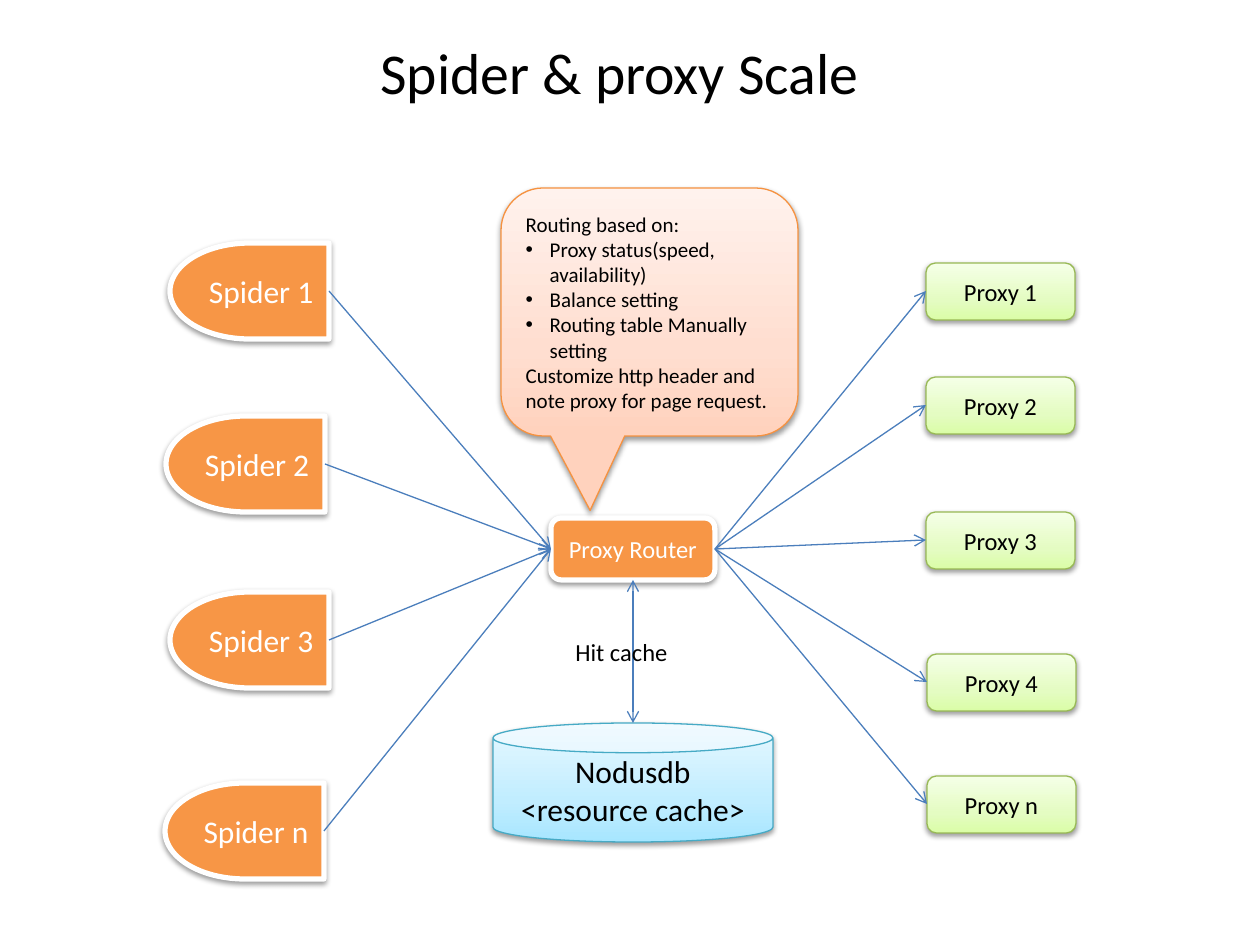
from dataclasses import dataclass

from lxml.etree import SubElement
from pptx import Presentation
from pptx.dml.color import RGBColor
from pptx.enum.shapes import MSO_CONNECTOR, MSO_SHAPE
from pptx.enum.text import MSO_ANCHOR, PP_ALIGN
from pptx.oxml.ns import qn
from pptx.util import Emu, Pt

EMU_PER_PIXEL = 914400 / 126
FONT = "Calibri"
BULLET = "\u2022"
BULLET_INDENT = 24
COLORS = {
    "black": "000000", "white": "FFFFFF", "orange": "F79646", "arrow": "4B7EBC",
    "proxy_line": "98B955", "note_line": "F69240", "store_line": "46AAC5",
}
GRADIENTS = {
    "green": ((0, "DAFDA7"), (35, "E4FCC2"), (100, "F5FFE7")),
    "peach": ((0, "FFD2BD"), (35, "FFDED0"), (100, "FFF2ED")),
    "blue": ((0, "A7E6FF"), (35, "C1EDFF"), (100, "E7F8FF")),
}


@dataclass(frozen=True)
class Style:
    """Look shared by all nodes of one kind."""
    geometry: MSO_SHAPE
    fill: str
    line: str
    line_width: float
    text_color: str
    size: int


@dataclass(frozen=True)
class Node:
    """A labelled diagram node, placed in pixels."""
    label: str
    left: int
    top: int
    width: int
    height: int

    @property
    def left_side(self) -> tuple[int, int]:
        """Middle of the left edge."""
        return self.left, self.top + self.height // 2

    @property
    def right_side(self) -> tuple[int, int]:
        """Middle of the right edge."""
        return self.left + self.width, self.top + self.height // 2


SPIDER = Style(MSO_SHAPE.FLOWCHART_DELAY, "orange", "white", 3, "white", 18)
ROUTER = Style(MSO_SHAPE.ROUNDED_RECTANGLE, "orange", "white", 3, "white", 14)
PROXY = Style(MSO_SHAPE.ROUNDED_RECTANGLE, "green", "proxy_line", 0.75, "black", 14)
NOTE = Style(MSO_SHAPE.ROUNDED_RECTANGULAR_CALLOUT, "peach", "note_line", 0.75, "black", 12)
STORE = Style(MSO_SHAPE.CAN, "blue", "store_line", 0.75, "black", 18)

spiders = [Node(f"Spider {name}", left, top, 159, 96) for name, left, top in
           (("1", 170, 243), ("2", 166, 416), ("3", 170, 592), ("n", 165, 783))]
proxies = [Node(f"Proxy {name}", left, top, 149, 57) for name, left, top in
           (("1", 926, 263), ("2", 926, 377), ("3", 926, 512),
            ("4", 927, 654), ("n", 927, 776))]
router = Node("Proxy Router", 551, 518, 164, 62)
store = Node("Nodusdb\n<resource cache>", 493, 723, 280, 119)
routing_rules = Node(
    "Routing based on:\n"
    f"{BULLET}Proxy status(speed, availability)\n"
    f"{BULLET}Balance setting\n"
    f"{BULLET}Routing table Manually setting\n"
    "Customize http header and note proxy for page request.",
    501, 188, 297, 248)
title = Node("Spider & proxy Scale", 84, 37, 1071, 69)
cache_label = Node("Hit cache", 563, 631, 139, 43)


def px(pixels: float) -> Emu:
    """Turn pixels into EMU."""
    return Emu(round(pixels * EMU_PER_PIXEL))


def rgb(name: str) -> RGBColor:
    """Look up a named colour."""
    return RGBColor.from_string(COLORS[name])


def write_text(shape, text: str, *, size: int, color: str = "black",
               align: PP_ALIGN = PP_ALIGN.CENTER,
               anchor: MSO_ANCHOR = MSO_ANCHOR.MIDDLE) -> None:
    """Fill a shape with text, one paragraph a line; a leading bullet makes a list item."""
    frame = shape.text_frame
    frame.word_wrap = True
    frame.vertical_anchor = anchor
    for index, line in enumerate(text.split("\n")):
        paragraph = frame.paragraphs[0] if index == 0 else frame.add_paragraph()
        paragraph.alignment = align
        if line.startswith(BULLET):
            properties = paragraph._p.get_or_add_pPr()
            properties.set("marL", str(px(BULLET_INDENT)))
            properties.set("indent", str(-px(BULLET_INDENT)))
            SubElement(properties, qn("a:buFont")).set("typeface", "Arial")
            SubElement(properties, qn("a:buChar")).set("char", BULLET)
        run = paragraph.add_run()
        run.text = line.removeprefix(BULLET)
        run.font.name, run.font.size = FONT, Pt(size)
        run.font.color.rgb = rgb(color)


def add_label(slide, node: Node, **text_format) -> None:
    """Add a plain text box."""
    box = slide.shapes.add_textbox(*map(px, (node.left, node.top, node.width, node.height)))
    write_text(box, node.label, **text_format)


def add_gradient(shape, stops: tuple) -> None:
    """Fill a shape with a gradient that runs from bottom to top."""
    shape.fill.gradient()
    shape.fill.gradient_angle = 90
    stop_list = shape._element.spPr.find(qn("a:gradFill")).find(qn("a:gsLst"))
    for old_stop in list(stop_list):
        stop_list.remove(old_stop)
    for percent, color in stops:
        stop = SubElement(stop_list, qn("a:gs"), pos=str(percent * 1000))
        SubElement(stop, qn("a:srgbClr"), val=color)


def add_shadow(shape) -> None:
    """Give a shape a soft shadow straight below."""
    shape.shadow.inherit = False
    effects = shape._element.spPr.find(qn("a:effectLst"))
    shadow = SubElement(effects, qn("a:outerShdw"), blurRad=str(Pt(3.1)),
                        dist=str(Pt(1.6)), dir="5400000", rotWithShape="0")
    color = SubElement(shadow, qn("a:srgbClr"), val=COLORS["black"])
    SubElement(color, qn("a:alpha"), val="38000")


def add_node(slide, node: Node, style: Style, align: PP_ALIGN = PP_ALIGN.CENTER):
    """Draw a node in its style and return the shape."""
    shape = slide.shapes.add_shape(
        style.geometry, *map(px, (node.left, node.top, node.width, node.height)))
    if style.fill in GRADIENTS:
        add_gradient(shape, GRADIENTS[style.fill])
    else:
        shape.fill.solid()
        shape.fill.fore_color.rgb = rgb(style.fill)
    shape.line.color.rgb = rgb(style.line)
    shape.line.width = Pt(style.line_width)
    add_shadow(shape)
    write_text(shape, node.label, size=style.size, color=style.text_color, align=align)
    return shape


def add_arrow(slide, start: tuple[int, int], end: tuple[int, int],
              both_ways: bool = False) -> None:
    """Draw an arrow between two points."""
    arrow = slide.shapes.add_connector(MSO_CONNECTOR.STRAIGHT, *map(px, start + end))
    arrow.line.color.rgb = rgb("arrow")
    arrow.line.width = Pt(0.75)
    line = arrow.line._get_or_add_ln()
    for tag in ("a:headEnd", "a:tailEnd") if both_ways else ("a:tailEnd",):
        SubElement(line, qn(tag), type="arrow")
    SubElement(arrow._element.spPr, qn("a:effectLst"))


presentation = Presentation()
presentation.slide_width, presentation.slide_height = px(1260), px(945)
slide = presentation.slides.add_slide(presentation.slide_layouts[6])

add_label(slide, title, size=33)
for spider in spiders:
    spider_shape = add_node(slide, spider, SPIDER)
    spider_shape._element.spPr.xfrm.set("flipH", "1")
add_node(slide, router, ROUTER)
for proxy in proxies:
    add_node(slide, proxy, PROXY)
for spider in spiders:
    add_arrow(slide, spider.right_side, router.left_side)
for proxy in proxies:
    add_arrow(slide, router.right_side, proxy.left_side)

callout = add_node(slide, routing_rules, NOTE, align=PP_ALIGN.LEFT)
for index, value in enumerate((-0.2, 0.8, 0.17)):
    callout.adjustments[index] = value
add_node(slide, store, STORE)
router_center = router.left + router.width // 2
add_arrow(slide, (router_center, router.top + router.height),
          (router_center, store.top), both_ways=True)
add_label(slide, cache_label, size=14, align=PP_ALIGN.LEFT, anchor=MSO_ANCHOR.TOP)

presentation.save("out.pptx")
